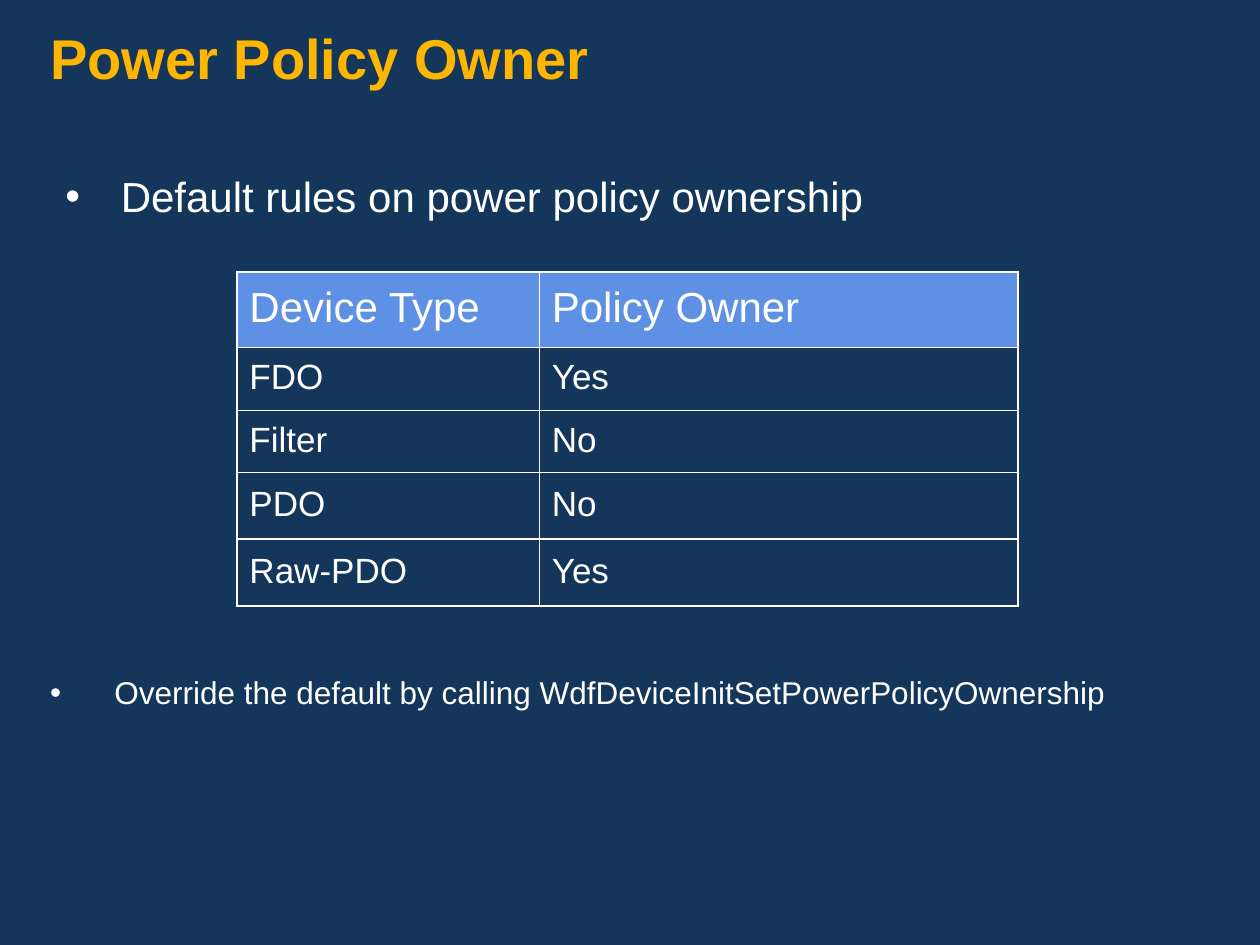
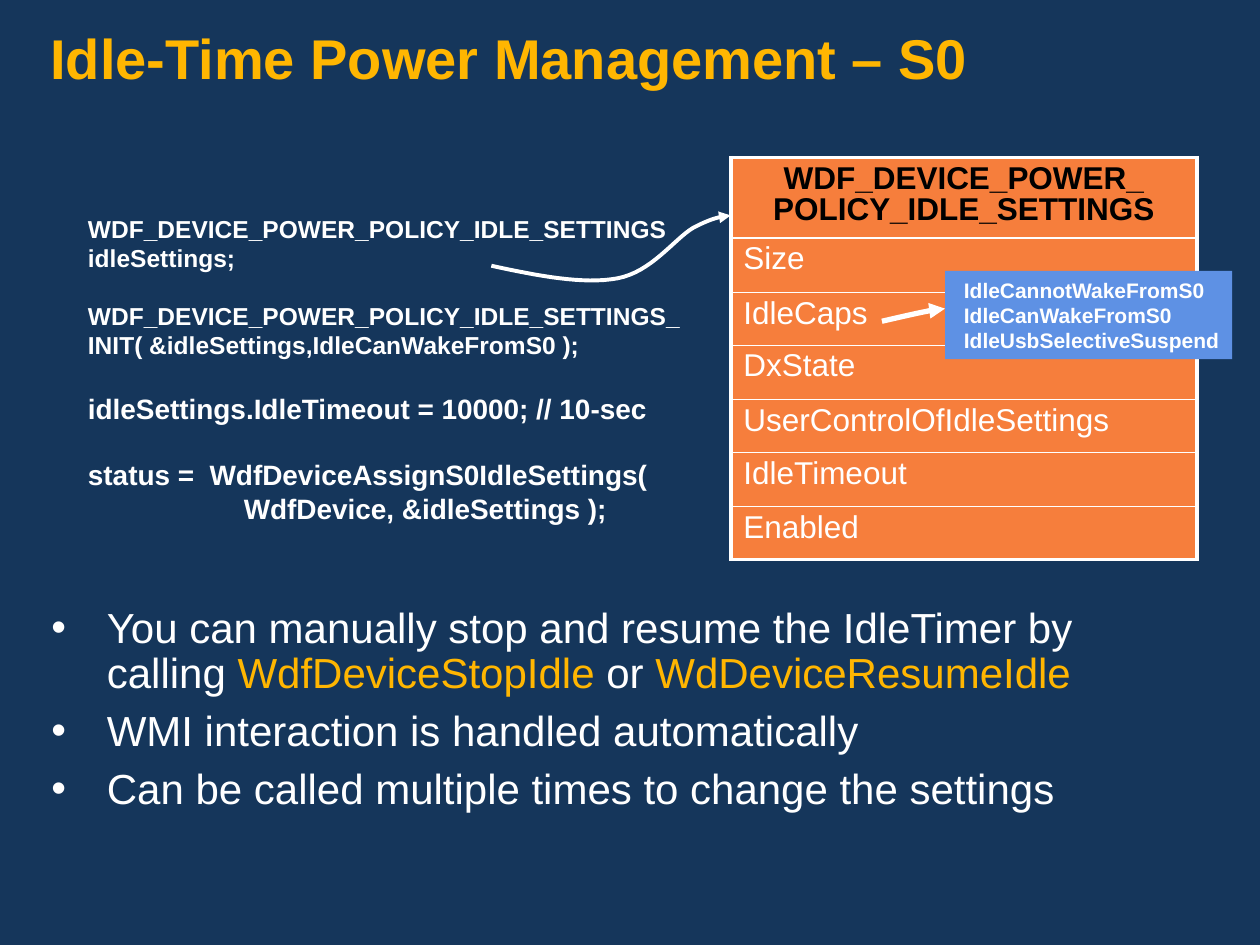
from dataclasses import dataclass, field

from lxml.etree import SubElement
from pptx import Presentation
from pptx.dml.color import RGBColor as Color
from pptx.enum.shapes import MSO_SHAPE as Shape
from pptx.enum.text import MSO_ANCHOR as Anchor, PP_ALIGN as Align
from pptx.oxml import parse_xml
from pptx.oxml.ns import nsdecls, qn
from pptx.util import Pt

SCALE = 9144


def px(length):
    return round(length * SCALE)


def assign(target, formats):
    for name, value in formats.items():
        setattr(target, name, value)


@dataclass(frozen=True)
class TextStyle:
    size: int
    color: str = "white"
    bold: bool = False
    spacing: float = 0.9


@dataclass(frozen=True)
class Theme:
    font: str = "Arial"
    bullet: str = "•"
    colors: dict = field(default_factory=lambda: {
        "navy": "15365B",
        "gold": "FFB601",
        "white": "FFFFFF",
        "black": "000000",
        "blue": "5E91E4",
        "orange": "F67E3C",
    })
    styles: dict = field(default_factory=lambda: {
        "title": TextStyle(32, "gold", True),
        "body": TextStyle(24),
        "cell": TextStyle(20),
        "small": TextStyle(18),
        "struct": TextStyle(18, "black", True),
        "code": TextStyle(16, bold=True, spacing=1),
        "small code": TextStyle(14, bold=True, spacing=1),
        "callout": TextStyle(12, bold=True, spacing=1),
    })


def curve_points(start, segments, steps=16):
    for first, second, end in segments:
        for step in range(1, steps + 1):
            t = step / steps
            weights = ((1 - t) ** 3, 3 * t * (1 - t) ** 2, 3 * t * t * (1 - t), t ** 3)
            corners = (start, first, second, end)
            yield tuple(px(sum(w * c[axis] for w, c in zip(weights, corners)))
                        for axis in (0, 1))
        start = end


class SlideBuilder:
    def __init__(self, deck, theme):
        self.deck = deck
        self.theme = theme
        self.page = None

    def color(self, name):
        return Color.from_string(self.theme.colors[name])

    def paint(self, fill, name):
        fill.solid()
        fill.fore_color.rgb = self.color(name)

    def add_page(self, title):
        self.page = self.deck.slides.add_slide(self.deck.slide_layouts[6])
        self.paint(self.page.background.fill, "navy")
        frame = self.text_frame((0, 0, 1000, 75), (40, 25, 40, 5))
        self.fill_para(frame.paragraphs[0], "title", title)

    def set_frame(self, frame, insets, anchor=Anchor.TOP):
        left, top, right, bottom = map(px, insets)
        assign(frame, {
            "word_wrap": True, "vertical_anchor": anchor,
            "margin_left": left, "margin_top": top,
            "margin_right": right, "margin_bottom": bottom,
        })
        return frame

    def text_frame(self, at, insets=(10, 5, 10, 5)):
        box = self.page.shapes.add_textbox(*map(px, at))
        return self.set_frame(box.text_frame, insets)

    def fill_para(self, para, style_name, text, before=0, align=Align.LEFT):
        style = self.theme.styles[style_name]
        assign(para, {
            "alignment": align,
            "line_spacing": style.spacing,
            "space_before": Pt(before),
        })
        spans = [(text, style.color)] if isinstance(text, str) else text
        for words, color in spans:
            span = para.add_run()
            span.text = words
            assign(span.font, {
                "name": self.theme.font, "size": Pt(style.size), "bold": style.bold,
            })
            span.font.color.rgb = self.color(color)

    def paragraphs(self, frame, lines):
        for number, (style, text, before) in enumerate(lines):
            para = frame.add_paragraph() if number else frame.paragraphs[0]
            self.fill_para(para, style, text, before)

    def bullets(self, at, style, indent, texts):
        frame = self.text_frame(at)
        gap = round(self.theme.styles[style].size * 0.3)
        self.paragraphs(frame, [(style, text, gap if number else 0)
                                for number, text in enumerate(texts)])
        for para in frame.paragraphs:
            settings = para._p.get_or_add_pPr()
            settings.set("marL", str(px(indent)))
            settings.set("indent", str(-px(indent)))
            SubElement(settings, qn("a:buFont")).set("typeface", self.theme.font)
            SubElement(settings, qn("a:buChar")).set("char", self.theme.bullet)

    def code(self, at, lines):
        self.paragraphs(self.text_frame(at), lines)

    def callout(self, at, texts):
        box = self.page.shapes.add_shape(Shape.RECTANGLE, *map(px, at))
        box.shadow.inherit = False
        self.paint(box.fill, "blue")
        box.line.fill.background()
        frame = self.set_frame(box.text_frame, (15, 5, 5, 5))
        self.paragraphs(frame, [("callout", text, 0) for text in texts])

    def border(self, cell, widths):
        settings = cell._tc.get_or_add_tcPr()
        for position, (side, width) in enumerate(zip("LRTB", widths)):
            settings.insert(position, parse_xml(
                f'<a:ln{side} {nsdecls("a")} w="{Pt(width)}"><a:solidFill>'
                f'<a:srgbClr val="{self.theme.colors["white"]}"/>'
                f'</a:solidFill></a:ln{side}>'))

    def table(self, corner, widths, heights, rows, head, body, edge=1,
              head_align=Align.LEFT, anchor=Anchor.MIDDLE):
        size = (sum(widths), sum(heights))
        table = self.page.shapes.add_table(
            len(rows), len(widths), *map(px, corner + size)).table
        assign(table, {"first_row": False, "horz_banding": False})
        for column, width in zip(table.columns, widths):
            column.width = px(width)
        last_row, last_column = len(rows) - 1, len(widths) - 1
        for r, (texts, height) in enumerate(zip(rows, heights)):
            table.rows[r].height = px(height)
            style, fill = body if r else head
            for c, text in enumerate(texts):
                cell = table.cell(r, c)
                cell.vertical_anchor = anchor
                if fill:
                    self.paint(cell.fill, fill)
                else:
                    cell.fill.background()
                outer = (c == 0, c == last_column, r == 0, r == last_row)
                self.border(cell, [edge if side else 1 for side in outer])
                self.fill_para(cell.text_frame.paragraphs[0], style, text,
                               align=Align.LEFT if r else head_align)

    def curved_arrow(self, start, segments, width):
        builder = self.page.shapes.build_freeform(*map(px, start), scale=1.0)
        builder.add_line_segments(list(curve_points(start, segments)), close=False)
        arrow = builder.convert_to_shape()
        arrow.shadow.inherit = False
        arrow.fill.background()
        arrow.line.width = Pt(width)
        self.paint(arrow.line.fill, "white")
        outline = arrow.line._get_or_add_ln()
        SubElement(outline, qn("a:tailEnd")).set("type", "triangle")


def power_policy_owner(slide):
    slide.add_page("Power Policy Owner")
    slide.bullets((42, 135, 798, 94), "body", 44,
                  ["Default rules on power policy ownership"])
    slide.table(
        (188, 216), (240, 380), (60, 50, 49, 53, 53),
        [("Device Type", "Policy Owner"), ("FDO", "Yes"), ("Filter", "No"),
         ("PDO", "No"), ("Raw-PDO", "Yes")],
        head=("body", "blue"), body=("cell", None))
    slide.bullets((30, 533, 900, 37), "small", 51,
                  ["Override the default by calling WdfDeviceInitSetPowerPolicyOwnership"])


def idle_time_power_management(slide):
    slide.add_page("Idle-Time Power Management – S0")
    slide.bullets((31, 477, 900, 178), "body", 44, [
        [("You can manually stop and resume the IdleTimer by calling ", "white"),
         ("WdfDeviceStopIdle", "gold"), (" or ", "white"),
         ("WdDeviceResumeIdle", "gold")],
        "WMI interaction is handled automatically",
        "Can be called multiple times to change the settings",
    ])
    slide.code((60, 165, 490, 260), [
        ("small code", "WDF_DEVICE_POWER_POLICY_IDLE_SETTINGS idleSettings;", 0),
        ("small code", "WDF_DEVICE_POWER_POLICY_IDLE_SETTINGS_INIT( "
                       "&idleSettings,IdleCanWakeFromS0 );", 16),
        ("code", "idleSettings.IdleTimeout = 10000; // 10-sec", 18.4),
        ("code", "status =  WdfDeviceAssignS0IdleSettings(", 18.4),
        ("code", "\t            WdfDevice, &idleSettings );", 0),
    ])
    fields = ("Size", "IdleCaps", "DxState", "UserControlOfIdleSettings",
              "IdleTimeout", "Enabled")
    slide.table(
        (580, 125), (370,), (64, 43, 42, 43, 42, 43, 42),
        [("WDF_DEVICE_POWER_ POLICY_IDLE_SETTINGS",)] + [(name,) for name in fields],
        head=("struct", "orange"), body=("small", "orange"), edge=2.25,
        head_align=Align.CENTER, anchor=Anchor.TOP)
    slide.callout((750, 215, 228, 70), [
        "IdleCannotWakeFromS0", "IdleCanWakeFromS0", "IdleUsbSelectiveSuspend"])
    slide.curved_arrow((700, 255), [((722, 250), (743, 245), (750, 245))], 3)
    slide.curved_arrow((390, 211), [
        ((427, 219), (463, 226), (490, 221)),
        ((517, 216), (535, 190), (550, 181)),
        ((565, 173), (572, 172), (580, 171)),
    ], 2.25)


def main():
    deck = Presentation()
    assign(deck, {"slide_width": px(1000), "slide_height": px(750)})
    slide = SlideBuilder(deck, Theme())
    power_policy_owner(slide)
    idle_time_power_management(slide)
    deck.save("out.pptx")


if __name__ == "__main__":
    main()
